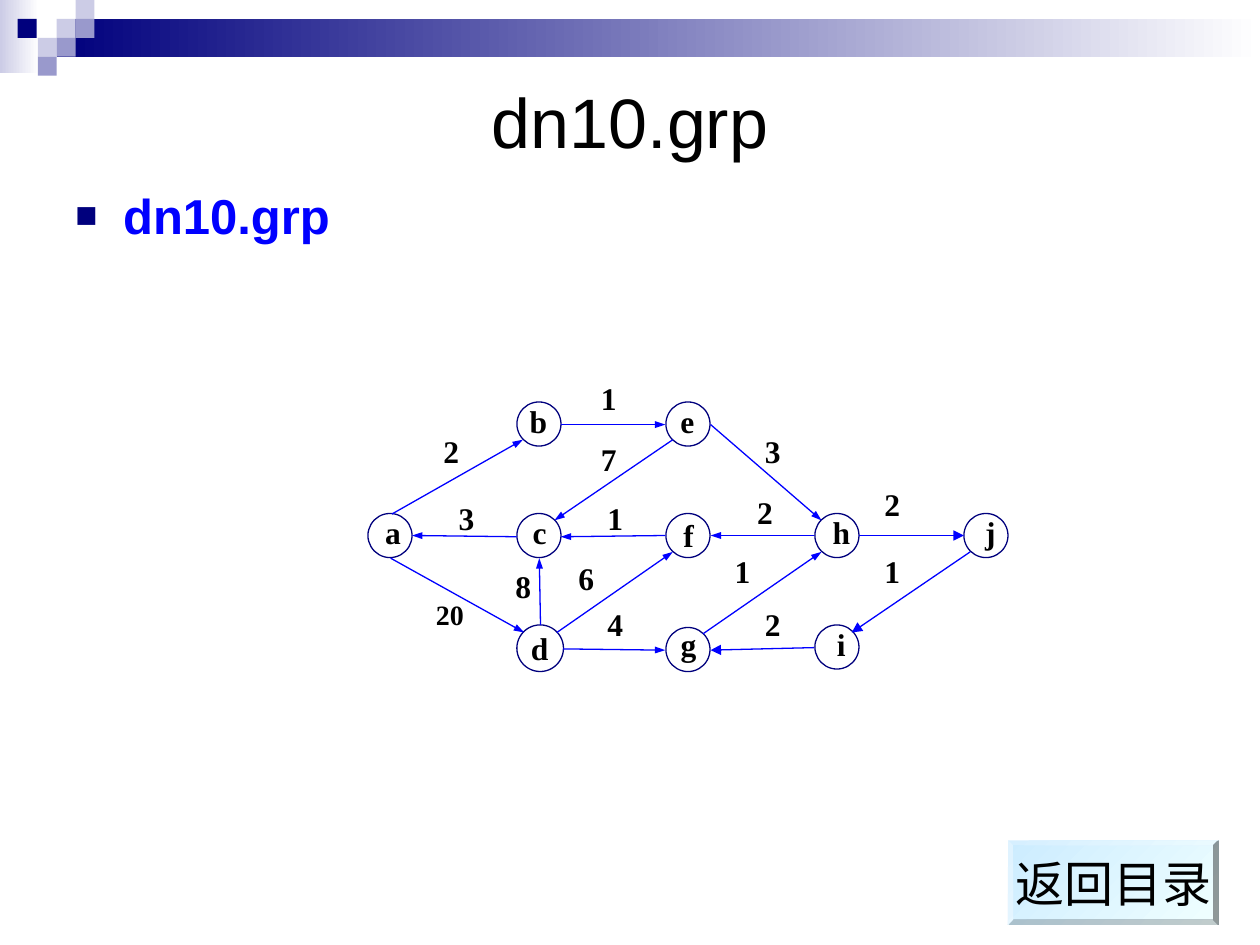
from dataclasses import dataclass

import pptx
import pptx.dml.color
import pptx.enum.shapes
import pptx.enum.text
import pptx.oxml
import pptx.oxml.ns
import pptx.util

Inches = pptx.util.Inches
Shape = pptx.enum.shapes.MSO_SHAPE
Align = pptx.enum.text.PP_ALIGN
Anchor = pptx.enum.text.MSO_ANCHOR

COLORS = {
    "navy": "00007D", "lavender": "CCCCE6", "violet": "9999CC", "white": "FFFFFF",
    "blue": "0000FF", "black": "000000", "sky": "CCECFF", "ice": "F0FFFF",
}
TITLE_FONT = {"name": "Arial", "size": pptx.util.Pt(40), "bold": False}
BULLET_FONT = {"name": "Arial", "size": pptx.util.Pt(28), "bold": True}
BUTTON_FONT = {"name": "Arial", "size": pptx.util.Pt(28), "bold": False}
GRAPH_FONT = {"name": "Times New Roman", "size": pptx.util.Pt(18), "bold": True}
NO_INSETS = (0, 0)
FRAME_INSETS = (0.1, 0.05)

COLUMN_LEFT, COLUMN_STEP = 2.92, 1.1825
ROW_TOP, ROW_STEP = 3.19, 0.885
TILE = 0.15


@dataclass
class Node:
    name: str
    column: int
    row: int
    letter_dx: float
    letter_dy: float = 0
    drop: float = 0
    size: float = 0.35


@dataclass
class Edge:
    start: tuple[float, float]
    end: tuple[float, float]
    weight: str
    label_at: tuple[float, float]
    head_width: str = "sm"
    points: int = 18


NODES = [
    Node("a", 0, 1, 0.08),
    Node("b", 1, 0, 0.05),
    Node("c", 1, 1, 0.06),
    Node("d", 1, 2, 0.06, letter_dy=0.03, size=0.37),
    Node("e", 2, 0, 0.05),
    Node("f", 2, 1, 0.06, letter_dy=0.02),
    Node("g", 2, 2, 0.06, drop=0.02),
    Node("h", 3, 1, 0.09),
    Node("i", 3, 2, 0.09),
    Node("j", 4, 1, 0.09),
]
EDGES = [
    Edge((3.11, 4.08), (4.15, 3.49), "2", (3.52, 3.43)),
    Edge((3.1, 4.43), (4.16, 5.02), "20", (3.46, 4.74), points=16),
    Edge((4.45, 3.37), (5.28, 3.37), "1", (4.77, 3.01)),
    Edge((4.1, 4.26), (3.27, 4.25), "3", (3.64, 3.96)),
    Edge((4.29, 4.96), (4.28, 4.43), "8", (4.09, 4.5)),
    Edge((4.42, 5.02), (5.34, 4.38), "6", (4.59, 4.44)),
    Edge((4.47, 5.15), (5.28, 5.16), "4", (4.82, 4.8)),
    Edge((5.34, 3.49), (4.4, 4.13), "7", (4.77, 3.49)),
    Edge((5.64, 3.37), (6.52, 4.13), "3", (6.07, 3.43)),
    Edge((5.28, 4.25), (4.45, 4.26), "1", (4.82, 3.96)),
    Edge((5.58, 5.03), (6.52, 4.38), "1", (5.83, 4.38)),
    Edge((6.46, 4.25), (5.64, 4.25), "2", (6.01, 3.91)),
    Edge((6.46, 5.14), (5.64, 5.16), "2", (6.07, 4.8), "med"),
    Edge((6.82, 4.25), (7.65, 4.25), "2", (7.02, 3.85), "med"),
    Edge((7.7, 4.38), (6.76, 5.02), "1", (7.02, 4.38), "med"),
]
# Corner tiles as (left, top, color)
TILES = [
    (0.45, 0.15, "lavender"), (0.6, 0, "lavender"), (0.6, 0.15, "violet"),
    (0.3, 0.3, "lavender"), (0.14, 0.15, "navy"), (0.45, 0.3, "violet"),
    (0.3, 0.45, "violet"),
]


def rgb(name: str) -> pptx.dml.color.RGBColor:
    return pptx.dml.color.RGBColor.from_string(COLORS[name])


def write(box, text: str, font: dict, color: str = "black", align=Align.CENTER,
          anchor=Anchor.TOP, insets=NO_INSETS, wrap: bool = True):
    """Put one formatted paragraph in a shape and return the paragraph."""
    side, edge = (Inches(value) for value in insets)
    frame = box.text_frame
    frame_format = {
        "margin_left": side, "margin_right": side, "margin_top": edge,
        "margin_bottom": edge, "vertical_anchor": anchor, "word_wrap": wrap,
        "auto_size": pptx.enum.text.MSO_AUTO_SIZE.NONE,
    }
    for key, value in frame_format.items():
        setattr(frame, key, value)
    para = frame.paragraphs[0]
    para.alignment = align
    span = para.add_run()
    span.text = text
    for key, value in font.items():
        setattr(span.font, key, value)
    span.font.color.rgb = rgb(color)
    return para


def add_text(page, at: tuple, text: str, font: dict, **options):
    box = page.shapes.add_textbox(*map(Inches, at))
    return write(box, text, font, **options)


def add_filled(page, kind, at: tuple, *colors: str, angle: float = 0):
    """Add a borderless shape; two colors make a gradient."""
    shape = page.shapes.add_shape(kind, *map(Inches, at))
    shape.shadow.inherit = False
    shape.line.fill.background()
    if len(colors) == 1:
        shape.fill.solid()
        shape.fill.fore_color.rgb = rgb(colors[0])
    else:
        shape.fill.gradient()
        shape.fill.gradient_angle = angle
        for stop, color in zip(shape.fill.gradient_stops, colors):
            stop.color.rgb = rgb(color)
    return shape


def add_xml(parent, tag: str, **attributes: str) -> None:
    child = pptx.oxml.parse_xml(f"<a:{tag} {pptx.oxml.ns.nsdecls('a')}/>")
    for key, value in attributes.items():
        child.set(key, value)
    parent.append(child)


def draw_banner(page) -> None:
    add_filled(page, Shape.RECTANGLE, (0, 0, 0.31, 0.58), "lavender", "white")
    add_filled(page, Shape.RECTANGLE, (0.45, 0.15, 9.55, 0.3), "navy", "white")
    for left, top, color in TILES:
        add_filled(page, Shape.RECTANGLE, (left, top, TILE, TILE), color)


def draw_heading(page) -> None:
    title = page.shapes.title
    place = {"left": 0.5, "top": 0.5, "width": 9, "height": 0.92}
    for key, value in place.items():
        setattr(title, key, Inches(value))
    write(title, "dn10.grp", TITLE_FONT, anchor=Anchor.MIDDLE, insets=FRAME_INSETS)

    para = add_text(page, (0.5, 1.42, 9, 5.33), "dn10.grp", BULLET_FONT,
                    color="blue", align=Align.LEFT, insets=FRAME_INSETS)
    para.space_before = pptx.util.Pt(7)
    props = para._p.get_or_add_pPr()
    props.set("marL", str(Inches(0.38)))
    props.set("indent", str(Inches(-0.38)))
    add_xml(props, "buClr")
    add_xml(props[-1], "srgbClr", val=COLORS["navy"])
    add_xml(props, "buSzPct", val="75000")
    add_xml(props, "buFont", typeface="Arial")
    add_xml(props, "buChar", char="■")


def draw_node(page, node: Node) -> None:
    left = COLUMN_LEFT + node.column * COLUMN_STEP
    top = ROW_TOP + node.row * ROW_STEP
    circle = add_filled(page, Shape.OVAL, (left, top + node.drop, node.size, node.size), "white")
    circle.line.color.rgb = rgb("navy")
    circle.line.width = pptx.util.Pt(0.75)
    letter_at = (left + node.letter_dx, top + node.letter_dy, 0.24, 0.29)
    add_text(page, letter_at, node.name, GRAPH_FONT)


def draw_edge(page, edge: Edge) -> None:
    arrow = page.shapes.add_connector(
        pptx.enum.shapes.MSO_CONNECTOR.STRAIGHT, *map(Inches, edge.start + edge.end))
    arrow.line.color.rgb = rgb("blue")
    arrow.line.width = pptx.util.Pt(0.75)
    add_xml(arrow.line._get_or_add_ln(), "tailEnd", type="triangle", w=edge.head_width, len="med")
    add_xml(arrow._element.spPr, "effectLst")
    font = GRAPH_FONT | {"size": pptx.util.Pt(edge.points)}
    add_text(page, edge.label_at + (0.24, 0.3), edge.weight, font, align=Align.JUSTIFY)


def draw_button(page) -> None:
    button = add_filled(page, Shape.BEVEL, (8, 6.67, 1.67, 0.67), "sky", "ice", angle=315)
    button.adjustments[0] = 0.06
    write(button, "返回目录", BUTTON_FONT, anchor=Anchor.MIDDLE, insets=FRAME_INSETS, wrap=False)


def main() -> None:
    deck = pptx.Presentation()
    deck.slide_width, deck.slide_height = Inches(10), Inches(7.5)
    page = deck.slides.add_slide(deck.slide_layouts.get_by_name("Title Only"))
    draw_banner(page)
    draw_heading(page)
    for node in NODES:
        draw_node(page, node)
    for edge in EDGES:
        draw_edge(page, edge)
    draw_button(page)
    deck.save("out.pptx")


if __name__ == "__main__":
    main()
